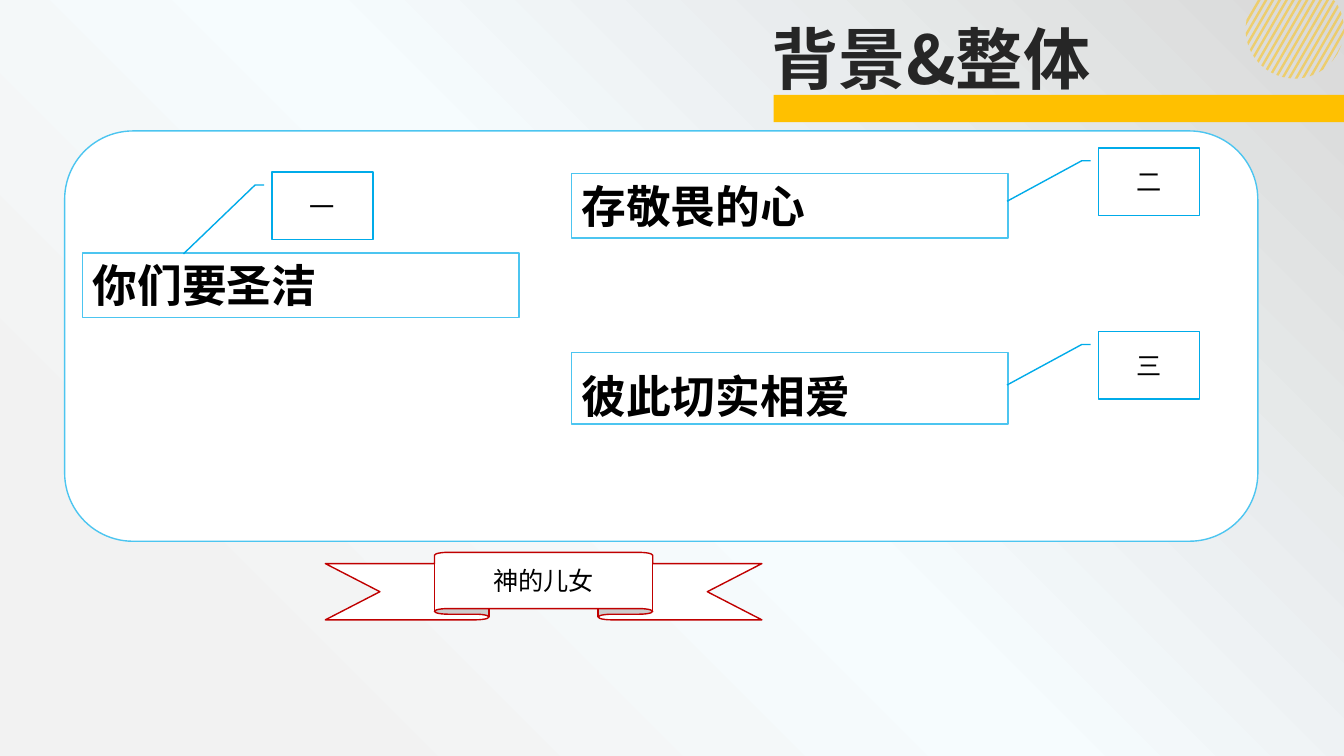
import math

import pptx
import pptx.dml.color
import pptx.enum.shapes
import pptx.enum.text
import pptx.oxml
import pptx.oxml.ns
import pptx.util
from lxml import etree

Cm = pptx.util.Cm
Pt = pptx.util.Pt
PRESET = pptx.enum.shapes.MSO_SHAPE
ALIGN = pptx.enum.text.PP_ALIGN
ANCHOR = pptx.enum.text.MSO_ANCHOR
AUTO_SIZE = pptx.enum.text.MSO_AUTO_SIZE
qn = pptx.oxml.ns.qn

SANS = "Noto Sans CJK SC"
GOLD, WHITE, SKY, BLUE, RED = "FFC000", "FFFFFF", "4CC5F0", "00ABE9", "C00000"
BLACK, CHARCOAL = "000000", "262626"

TITLE = ("背景&整体", (19.2, 0.3, 14.66, 2.31))
GOLD_BAR = (19.5, 2.39, 14.37, 0.69)
CARD = (1.63, 3.3, 30.07, 10.34)
SIDE_LEADER, LOW_LEADER = (0.79, -0.91), (1.21, -0.88)
POINTS = [
    ("二", (27.69, 3.73), SIDE_LEADER, "存敬畏的心", (14.4, 4.37, 11, 1.63), 1.0),
    ("三", (27.69, 8.36), SIDE_LEADER, "彼此切实相爱", (14.4, 8.89, 11, 1.8), 1.2),
    ("一", (6.86, 4.34), LOW_LEADER, "你们要圣洁", (2.08, 6.38, 11, 1.63), 1.0),
]
NUMBER_SIZE = (2.54, 1.7)
RIBBON = ("神的儿女", (8.2, 13.92, 11, 1.7))
DISC_CENTRE, DISC_RADIUS = (32.63, 0.74), 1.24
STRIPE_COUNT, STRIPE_WIDTH = 17, 0.07
FIRST_STRIPE, LAST_STRIPE = 31.7, 34.46
BACKDROP = [(15, "F2F2F2", 100), (50, "F6FCFE", 27), (100, "D9D9D9", 100)]


def rgb(colour):
    return pptx.dml.color.RGBColor.from_string(colour)


def paint(shape, fill, line=None):
    shape.shadow.inherit = False
    shape.fill.solid()
    shape.fill.fore_color.rgb = rgb(fill)
    if line:
        shape.line.color.rgb = rgb(line)
        shape.line.width = Pt(1)
    else:
        shape.line.fill.background()


def add_preset(slide, preset, place, fill, line=None):
    shape = slide.shapes.add_shape(preset, *map(Cm, place))
    paint(shape, fill, line)
    return shape


def write(shape, text, size, colour=BLACK, bold=False, centred=False, face=SANS, spacing=1.0):
    frame = shape.text_frame
    frame.word_wrap = True
    frame.auto_size = AUTO_SIZE.NONE if centred else AUTO_SIZE.SHAPE_TO_FIT_TEXT
    frame.vertical_anchor = ANCHOR.MIDDLE if centred else ANCHOR.TOP
    paragraph = frame.paragraphs[0]
    paragraph.text = text
    paragraph.alignment = ALIGN.CENTER if centred else ALIGN.LEFT
    paragraph.line_spacing = spacing
    font = paragraph.font
    font.size, font.bold, font.name = Pt(size), bold, face
    font.color.rgb = rgb(colour)
    etree.SubElement(font._element, qn("a:ea"), typeface=SANS)


def add_backdrop(slide):
    stops = "".join(
        f'<a:gs pos="{pos * 1000}"><a:srgbClr val="{colour}">'
        f'<a:alpha val="{alpha * 1000}"/></a:srgbClr></a:gs>'
        for pos, colour, alpha in BACKDROP)
    slide._element.cSld.insert(0, pptx.oxml.parse_xml(
        f'<p:bg {pptx.oxml.ns.nsdecls("p", "a")}><p:bgPr><a:gradFill><a:gsLst>{stops}</a:gsLst>'
        '<a:path path="circle"><a:fillToRect t="100000" r="100000"/></a:path>'
        '</a:gradFill><a:effectLst/></p:bgPr></p:bg>'))


def chord(crossing):
    """Return the ends of the slanted line through (crossing, 0), cut by the disc and the slide top."""
    cos, sin = math.cos(math.pi / 6), 0.5
    centre_x, centre_y = DISC_CENTRE
    offset = min((crossing - centre_x) * cos - centre_y * sin, DISC_RADIUS)
    half = math.sqrt(DISC_RADIUS ** 2 - offset ** 2)
    foot_x, foot_y = centre_x + offset * cos, centre_y + offset * sin
    top = (foot_x + half * sin, foot_y - half * cos)
    bottom = (foot_x - half * sin, foot_y + half * cos)
    return (top if top[1] > 0 else (crossing, 0)), bottom


def add_striped_disc(slide):
    pitch = (LAST_STRIPE - FIRST_STRIPE) / (STRIPE_COUNT - 1)
    for index in range(STRIPE_COUNT):
        crossing = FIRST_STRIPE + index * pitch
        left_top, left_bottom = chord(crossing)
        right_top, right_bottom = chord(crossing + STRIPE_WIDTH)
        corners = [(Cm(x), Cm(y)) for x, y in (left_top, right_top, right_bottom, left_bottom)]
        outline = slide.shapes.build_freeform(*corners[0], scale=1.0)
        outline.add_line_segments(corners[1:], close=True)
        stripe = outline.convert_to_shape()
        paint(stripe, GOLD)
        tint = stripe._element.spPr.find(".//" + qn("a:srgbClr"))
        etree.SubElement(tint, qn("a:alpha"), val="50000")


def add_point(slide, number, corner, leader, text, place, spacing):
    box = add_preset(slide, PRESET.RECTANGLE, place, WHITE, SKY)
    write(box, text, 32, bold=True, spacing=spacing)
    callout = add_preset(slide, PRESET.LINE_CALLOUT_2, corner + NUMBER_SIZE, WHITE, BLUE)
    for index, value in enumerate((0.19, -0.08, 0.19, -0.17) + leader):
        callout.adjustments[index] = value
    write(callout, number, 18, centred=True)


def main():
    deck = pptx.Presentation()
    deck.slide_width, deck.slide_height = Cm(33.87), Cm(19.05)
    slide = deck.slides.add_slide(deck.slide_layouts[6])
    add_backdrop(slide)
    add_striped_disc(slide)
    add_preset(slide, PRESET.RECTANGLE, GOLD_BAR, GOLD)
    add_preset(slide, PRESET.ROUNDED_RECTANGLE, CARD, WHITE, SKY)
    heading, heading_place = TITLE
    write(slide.shapes.add_textbox(*map(Cm, heading_place)), heading, 48, CHARCOAL, bold=True)
    for point in POINTS:
        add_point(slide, *point)
    motto, motto_place = RIBBON
    ribbon = add_preset(slide, PRESET.UP_RIBBON, motto_place, WHITE, RED)
    write(ribbon, motto, 18, centred=True, face="Arial")
    deck.save("out.pptx")


if __name__ == "__main__":
    main()
